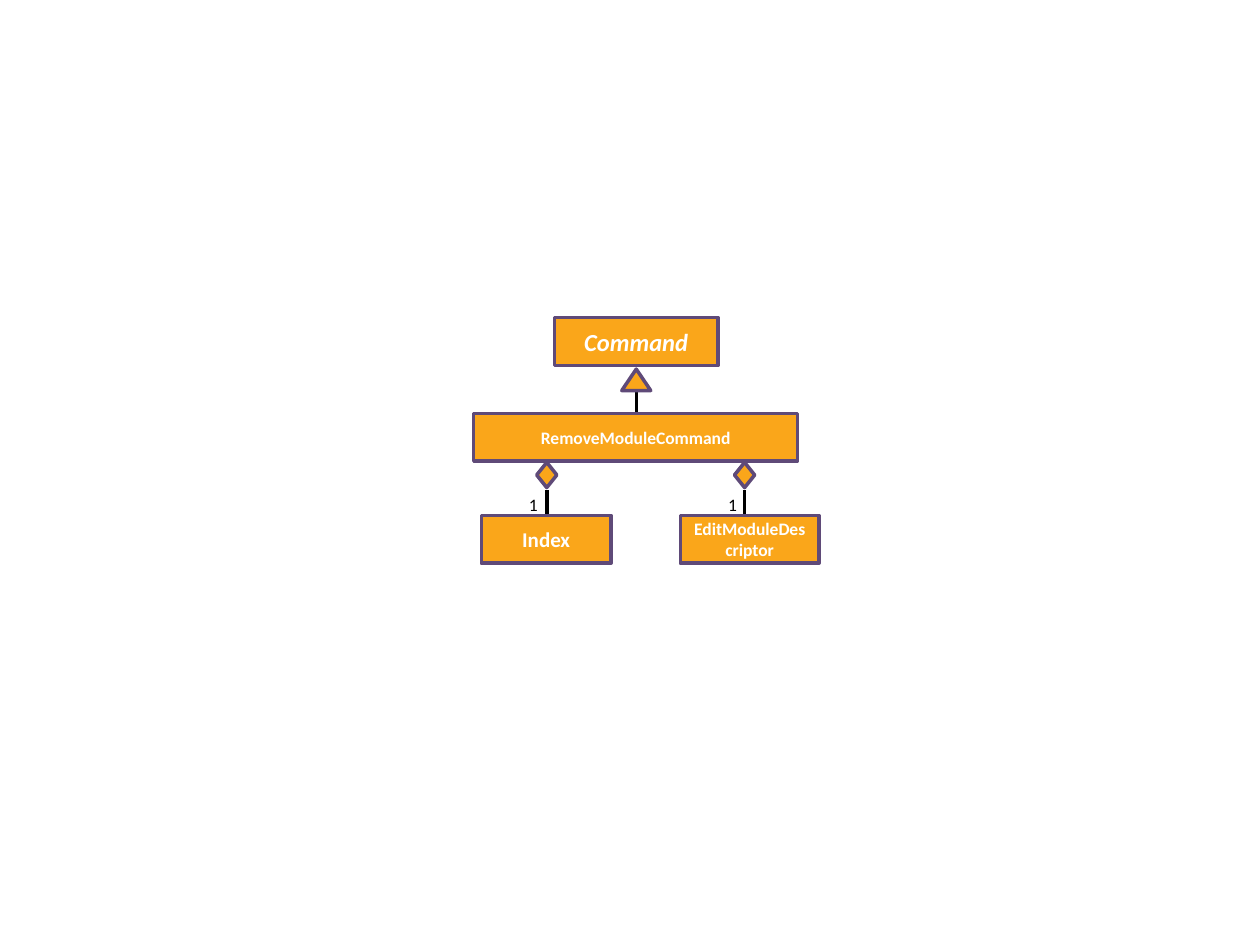
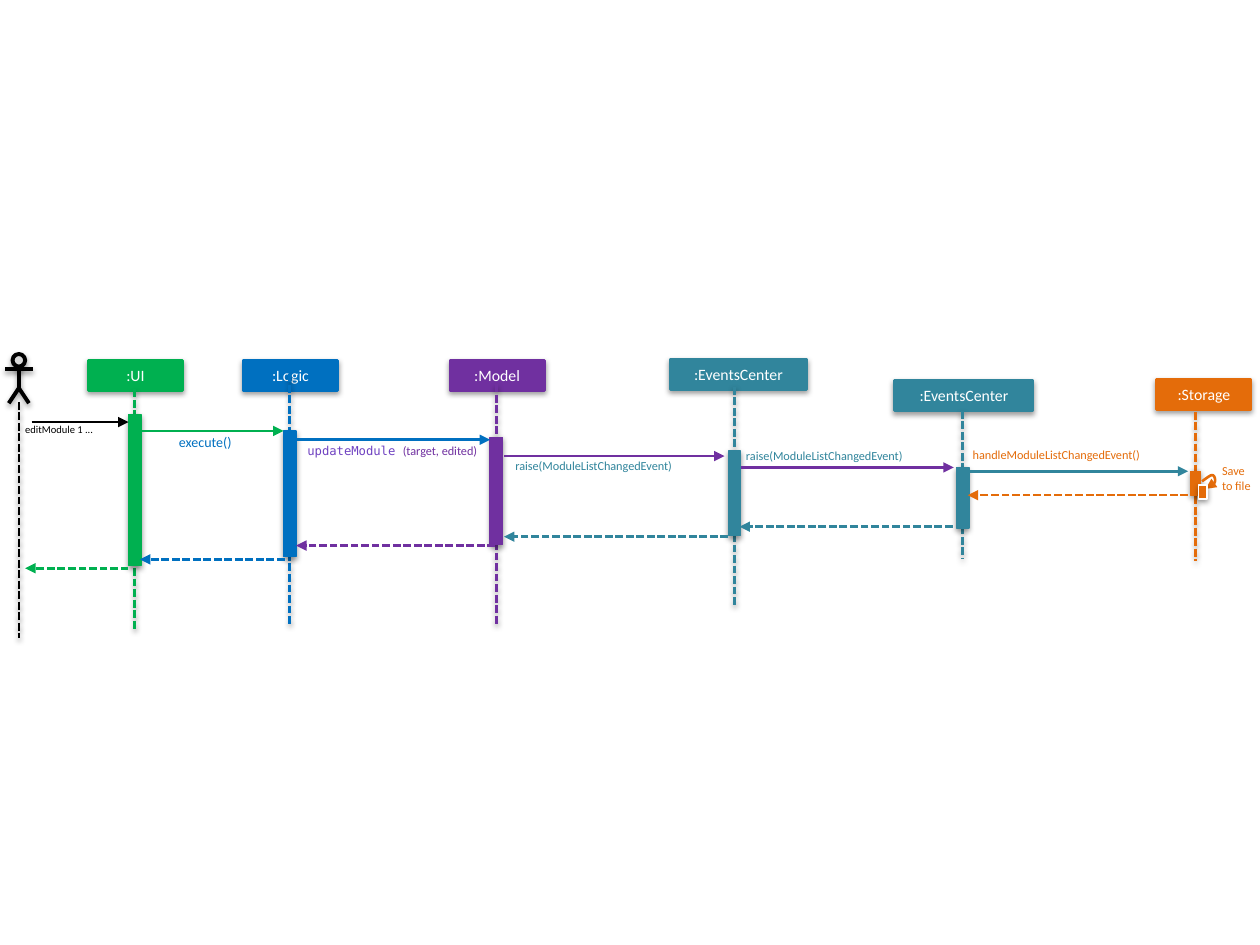
from lxml import etree
from pptx import Presentation
from pptx.dml.color import RGBColor
from pptx.enum.dml import MSO_LINE
from pptx.enum.shapes import MSO_CONNECTOR, MSO_SHAPE
from pptx.enum.text import MSO_ANCHOR, PP_ALIGN
from pptx.oxml.ns import qn
from pptx.util import Inches, Pt

RECT, STRAIGHT = MSO_SHAPE.RECTANGLE, MSO_CONNECTOR.STRAIGHT
DASH, MIDDLE, CENTER = MSO_LINE.SQUARE_DOT, MSO_ANCHOR.MIDDLE, PP_ALIGN.CENTER

WHITE = RGBColor(0xFF, 0xFF, 0xFF)
BLACK = RGBColor(0x00, 0x00, 0x00)
GRAY = RGBColor(0xD9, 0xD9, 0xD9)
AMBER = RGBColor(0xFA, 0xA6, 0x1A)
PLUM = RGBColor(0x5F, 0x4A, 0x78)
GREEN = RGBColor(0x00, 0xB0, 0x50)
BLUE = RGBColor(0x00, 0x70, 0xC0)
PURPLE = RGBColor(0x70, 0x30, 0xA0)
VIOLET = RGBColor(0x6F, 0x42, 0xC1)
TEAL = RGBColor(0x31, 0x85, 0x9C)
ORANGE = RGBColor(0xE4, 0x6C, 0x0A)
FONT, MONO = "Calibri", "DejaVu Sans Mono"


def style(item, edge, width, fill=None, dash=False, arrow=None, shade=False):
    """Set fill, outline, arrowhead and shadow of a shape or connector."""
    if fill is not None:
        item.fill.solid()
        item.fill.fore_color.rgb = fill
    item.line.color.rgb = edge
    item.line.width = Pt(width)
    if dash:
        item.line.dash_style = DASH
    props = item._element.spPr
    if arrow:
        etree.SubElement(props.find(qn("a:ln")), qn("a:" + arrow), type="triangle")
    effect = etree.SubElement(props, qn("a:effectLst"))
    if shade:
        shadow = etree.SubElement(effect, qn("a:outerShdw"), blurRad=str(Pt(3.1)),
                                  dist=str(Pt(1.6)), dir="5400000", rotWithShape="0")
        tone = etree.SubElement(shadow, qn("a:srgbClr"), val=str(BLACK))
        etree.SubElement(tone, qn("a:alpha"), val="38000")


def write(para, text, size, color, font=FONT, bold=False, italic=False):
    """Add one run to a paragraph."""
    run = para.add_run()
    run.text = text
    face = run.font
    face.name, face.size, face.color.rgb = font, Pt(size), color
    face.bold, face.italic = bold, italic


prs = Presentation()
prs.slide_width, prs.slide_height = Inches(10), Inches(7.5)
blank = prs.slide_layouts[6]

# Slide 1: class diagram
shapes = prs.slides.add_slide(blank).shapes
ROW = 0.38

# Inheritance and composition links
for x, top, end in ((5.05, 2.93, 3.28), (4.34, 3.89, 4.09), (5.91, 3.89, 4.09)):
    link = shapes.add_connector(STRAIGHT, *map(Inches, (x, top, x, end)))
    style(link, BLACK, 2)
for kind, x, top, wide, high in (
    (MSO_SHAPE.ISOSCELES_TRIANGLE, 5.05, 2.93, 0.23, 0.17),
    (MSO_SHAPE.DIAMOND, 4.34, 3.67, 0.16, 0.2),
    (MSO_SHAPE.DIAMOND, 5.91, 3.67, 0.16, 0.2),
):
    mark = shapes.add_shape(kind, *map(Inches, (x - wide / 2, top, wide, high)))
    style(mark, PLUM, 2, AMBER)

# Classes
for name, left, top, wide, size in (
    ("Command", 4.4, 2.52, 1.3, 14),
    ("RemoveModuleCommand", 3.76, 3.28, 2.57, 10),
    ("Index", 3.82, 4.09, 1.03, 12),
    ("EditModuleDescriptor", 5.4, 4.09, 1.1, 10),
):
    box = shapes.add_shape(RECT, *map(Inches, (left, top, wide, ROW)))
    style(box, PLUM, 2, AMBER)
    frame = box.text_frame
    frame.word_wrap, frame.vertical_anchor = True, MIDDLE
    frame.paragraphs[0].alignment = CENTER
    write(frame.paragraphs[0], name, size, WHITE, bold=True, italic=name == "Command")

# Multiplicities
for left in (4.1, 5.68):
    note = shapes.add_textbox(*map(Inches, (left, 3.87, 0.24, 0.33)))
    note.text_frame.word_wrap = False
    write(note.text_frame.paragraphs[0], "1", 10, BLACK)

# Slide 2: sequence diagram
shapes = prs.slides.add_slide(blank).shapes
HEAD = 0.24

# Actor
head = shapes.add_shape(MSO_SHAPE.FLOWCHART_CONNECTOR, *map(Inches, (0.1, 2.81, 0.1, 0.1)))
style(head, BLACK, 2.25, GRAY, shade=True)
for ends in ((0.15, 2.91, 0.15, 3.08), (0.04, 2.93, 0.26, 2.93)):
    limb = shapes.add_connector(STRAIGHT, *map(Inches, ends))
    style(limb, BLACK, 2.25, shade=True)
pen = shapes.build_freeform(Inches(0.07), Inches(3.2))
pen.add_line_segments([(Inches(0.15), Inches(3.08)), (Inches(0.23), Inches(3.2))], close=False)
legs = pen.convert_to_shape()
legs.fill.background()
style(legs, BLACK, 2.25, shade=True)
life = shapes.add_connector(STRAIGHT, *map(Inches, (0.15, 3.19, 0.15, 5.06)))
style(life, BLACK, 1.5, dash=True, shade=True)

# Participants: header box, lifeline, activation bar
for name, color, left, top, wide, x, start, end, bar_top, bar_wide, bar_high in (
    (":UI", GREEN, 0.7, 2.86, 0.75, 1.07, 3.09, 4.99, 3.29, 0.1, 1.2),
    (":Logic", BLUE, 1.93, 2.86, 0.75, 2.3, 2.97, 4.95, 3.42, 0.1, 1),
    (":Model", PURPLE, 3.57, 2.86, 0.75, 3.94, 3.05, 4.95, 3.47, 0.1, 0.85),
    (":EventsCenter", TEAL, 5.32, 2.85, 1.08, 5.83, 3.07, 4.81, 3.58, 0.1, 0.67),
    (":EventsCenter", TEAL, 7.1, 3.02, 1.1, 7.64, 3.26, 4.44, 3.71, 0.1, 0.48),
    (":Storage", ORANGE, 9.18, 3.01, 0.75, 9.49, 3.27, 4.45, 3.74, 0.08, 0.19),
):
    box = shapes.add_shape(RECT, *map(Inches, (left, top, wide, HEAD)))
    style(box, color, 1.5, color, shade=True)
    frame = box.text_frame
    frame.word_wrap, frame.vertical_anchor = True, MIDDLE
    frame.paragraphs[0].alignment = CENTER
    write(frame.paragraphs[0], name, 9, WHITE)
    life = shapes.add_connector(STRAIGHT, *map(Inches, (x, start, x, end)))
    style(life, color, 1.5, dash=True, shade=True)
    bar = shapes.add_shape(RECT, *map(Inches, (x - bar_wide / 2, bar_top, bar_wide, bar_high)))
    style(bar, color, 0.75, color, shade=True)

# Calls run right, returns run left and are dashed
for start, end, y, color in (
    (0.25, 1.02, 3.35, BLACK),
    (1.06, 2.25, 3.42, GREEN),
    (2.31, 3.89, 3.49, BLUE),
    (4, 5.75, 3.62, PURPLE),
    (5.88, 7.57, 3.71, PURPLE),
    (7.68, 9.43, 3.74, TEAL),
    (9.43, 7.68, 3.93, ORANGE),
    (7.56, 5.87, 4.18, TEAL),
    (5.78, 4, 4.26, TEAL),
    (3.93, 2.35, 4.33, PURPLE),
    (2.26, 1.11, 4.44, BLUE),
    (1.02, 0.2, 4.51, GREEN),
):
    call = shapes.add_connector(STRAIGHT, *map(Inches, (start, y, end, y)))
    style(call, color, 1.5, dash=end < start, arrow="tailEnd")

# Self call on Storage: two Bézier curves
curves = (
    ((9.57, 3.88), (9.6, 3.86), (9.63, 3.85), (9.64, 3.83)),
    ((9.64, 3.83), (9.65, 3.81), (9.64, 3.77), (9.62, 3.77)),
    ((9.62, 3.77), (9.61, 3.77), (9.58, 3.79), (9.54, 3.82)),
)
STEPS = 6
dots = []
for curve in curves:
    for step in range(1, STEPS + 1):
        t = step / STEPS
        parts = ((1 - t) ** 3, 3 * t * (1 - t) ** 2, 3 * t * t * (1 - t), t ** 3)
        dots.append([Inches(sum(p * dot[axis] for p, dot in zip(parts, curve)))
                     for axis in (0, 1)])
pen = shapes.build_freeform(*map(Inches, curves[0][0]))
pen.add_line_segments(dots, close=False)
loop = pen.convert_to_shape()
loop.fill.background()
style(loop, ORANGE, 1.5, arrow="headEnd")
bar = shapes.add_shape(RECT, *map(Inches, (9.51, 3.85, 0.07, 0.11)))
style(bar, WHITE, 0.75, ORANGE, shade=True)

# Message labels: each run is text, size, colour, font
RAISE = ("raise(ModuleListChangedEvent)", 7, TEAL, FONT)
for left, top, wide, high, runs in (
    (0.2, 3.36, 0.81, 0.31, [("editModule 1 ...", 6, BLACK, FONT)]),
    (1.42, 3.44, 0.97, 0.1, [("execute()", 8, BLUE, FONT)]),
    (2.44, 3.52, 1.36, 0.08, [("updateModule ", 7, VIOLET, MONO),
                              ("(target, edited)", 7, PURPLE, FONT)]),
    (4.09, 3.64, 1.67, 0.1, [RAISE]),
    (5.92, 3.56, 1.71, 0.1, [RAISE]),
    (7.72, 3.55, 1.82, 0.1, [("handleModuleListChangedEvent()", 7, ORANGE, FONT)]),
    (9.7, 3.68, 0.3, 0.29, [("Save ", 7, ORANGE, FONT), None,
                            ("to file", 7, ORANGE, FONT)]),
):
    note = shapes.add_textbox(*map(Inches, (left, top, wide, high)))
    frame = note.text_frame
    frame.word_wrap = True
    frame.margin_left = frame.margin_right = frame.margin_top = frame.margin_bottom = 0
    for run in runs:
        if run:
            write(frame.paragraphs[0], *run)
        else:
            frame.paragraphs[0].add_line_break()

prs.save("out.pptx")
